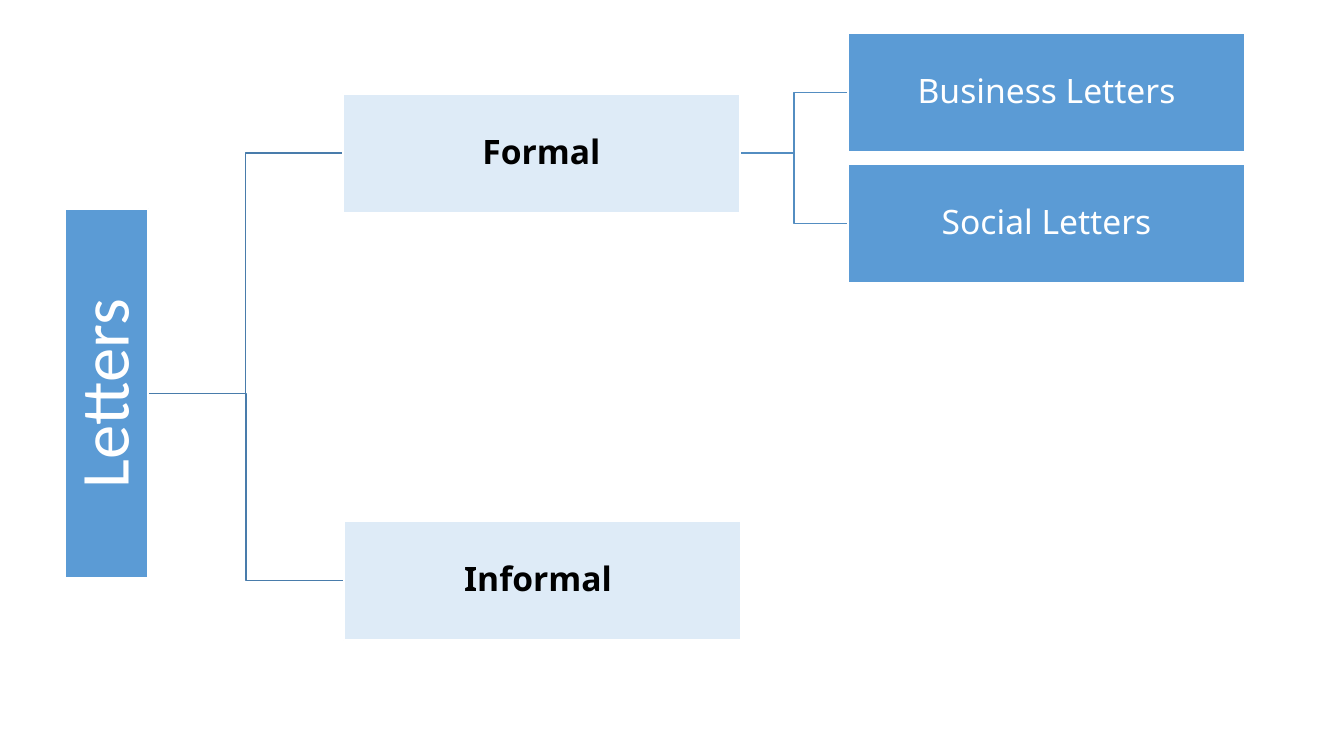
from lxml import etree
from pptx import Presentation
from pptx.dml.color import RGBColor
from pptx.enum.shapes import MSO_CONNECTOR, MSO_SHAPE
from pptx.enum.text import MSO_ANCHOR, PP_ALIGN
from pptx.oxml.ns import qn
from pptx.util import Inches, Pt

ELBOW = MSO_CONNECTOR.ELBOW
RECTANGLE = MSO_SHAPE.RECTANGLE
CENTER, MIDDLE = PP_ALIGN.CENTER, MSO_ANCHOR.MIDDLE
LEFT_SIDE, RIGHT_SIDE = 1, 3

WHITE, BLACK = "FFFFFF", "000000"
BLUE, PALE_BLUE = "5B9BD5", "DEEBF7"
ROOT_LINE, BRANCH_LINE = "497CAB", "538DC1"

BOX_WIDTH, BOX_HEIGHT = 3.94, 1.18
KIND_LEFT, EXAMPLE_LEFT = 3.4, 8.41
EXAMPLE_TOP, EXAMPLE_PITCH = 0.33, 1.3


def color(hex_string):
    return RGBColor.from_string(hex_string)


def write(box, text, size=24, font="Noto Sans", fill=WHITE, bold=False, inset=0.02):
    frame = box.text_frame
    frame.word_wrap = True
    frame.vertical_anchor = MIDDLE
    frame.margin_left = frame.margin_right = Inches(inset)
    frame.margin_top = frame.margin_bottom = Inches(inset)
    paragraph = frame.paragraphs[0]
    paragraph.alignment = CENTER
    paragraph.line_spacing = 0.9
    run = paragraph.add_run()
    run.text = text
    run.font.size = Pt(size)
    run.font.name = font
    run.font.bold = bold
    run.font.color.rgb = color(fill)


def add_node(slide, left, top, width=BOX_WIDTH, height=BOX_HEIGHT, fill=BLUE):
    node = slide.shapes.add_shape(
        RECTANGLE, Inches(left), Inches(top), Inches(width), Inches(height))
    node.shadow.inherit = False
    node.fill.solid()
    node.fill.fore_color.rgb = color(fill)
    node.line.color.rgb = color(WHITE)
    node.line.width = Pt(1.5)
    return node


def link(slide, parent, child, line):
    """Run an elbow from the parent's right side to the child's left side."""
    elbow = slide.shapes.add_connector(ELBOW, 0, 0, 0, 0)
    elbow.begin_connect(parent, RIGHT_SIDE)
    elbow.end_connect(child, LEFT_SIDE)
    elbow.line.color.rgb = color(line)
    elbow.line.width = Pt(1)
    etree.SubElement(elbow._element.spPr, qn("a:effectLst"))
    # Links lie behind the nodes
    slide.shapes._spTree.insert(2, elbow._element)


def add_root(slide, left, top, width, height):
    root = add_node(slide, left, top, width, height)
    write(root, "Letters", size=49, font="Calibri", inset=0.03)
    root.text_frame._txBody.bodyPr.set("vert", "vert270")
    return root


def add_kind(slide, root, text, left, top):
    kind = add_node(slide, left, top, fill=PALE_BLUE)
    write(kind, text, fill=BLACK, bold=True)
    link(slide, root, kind, ROOT_LINE)
    return kind


def add_examples(slide, kind, texts, left, top):
    for row, text in enumerate(texts):
        example = add_node(slide, left, top + row * EXAMPLE_PITCH)
        write(example, text)
        link(slide, kind, example, BRANCH_LINE)


def main():
    deck = Presentation()
    deck.slide_width, deck.slide_height = Inches(13.33), Inches(7.5)
    slide = deck.slides.add_slide(deck.slide_layouts[6])
    root = add_root(slide, 0.64, 2.07, 0.83, 3.67)
    formal = add_kind(slide, root, "Formal", KIND_LEFT, 0.93)
    add_examples(slide, formal, ["Business Letters", "Social Letters"],
                 EXAMPLE_LEFT, EXAMPLE_TOP)
    add_kind(slide, root, "Informal ", KIND_LEFT + 0.01, 5.17)
    deck.save("out.pptx")


if __name__ == "__main__":
    main()
